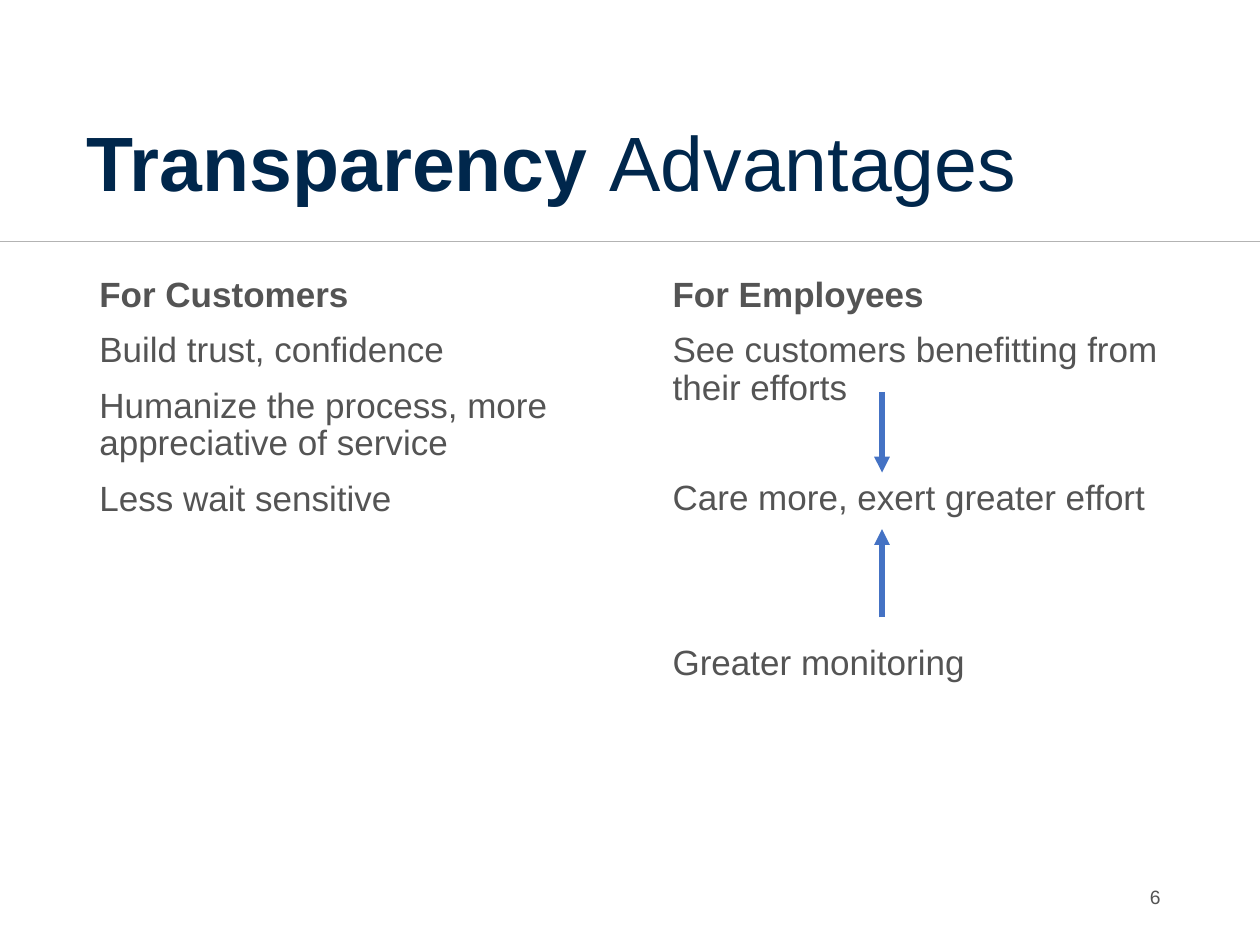
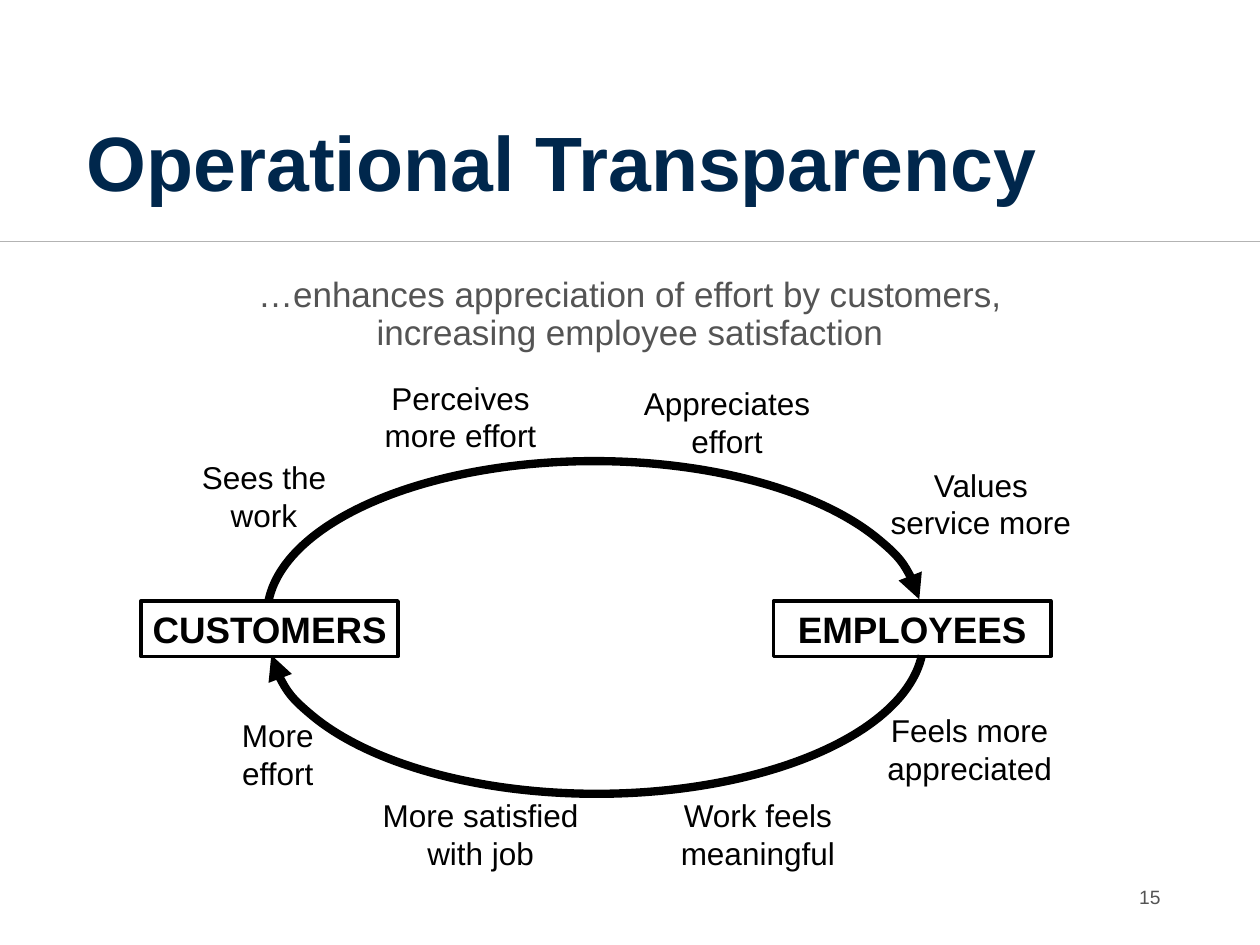
"""Build two slides on operational transparency: its advantages and its cycle."""
from lxml import etree
from pptx import Presentation
from pptx.dml.color import RGBColor
from pptx.enum import shapes, text
from pptx.oxml import ns
from pptx.util import Inches, Pt

NAVY = RGBColor(0x00, 0x27, 0x4C)
GRAY = RGBColor(0x54, 0x54, 0x54)
RULE = RGBColor(0xB3, 0xB3, 0xB3)
BLUE = RGBColor(0x44, 0x72, 0xC4)
BLACK = RGBColor(0, 0, 0)
FONT = "Arial"

LEFT, CONTENT_WIDTH, BODY_TOP, BODY_HEIGHT = 0.69, 8.62, 2, 4.76
COLUMN_WIDTH, COLUMN_STEP = 4.16, 4.55
PARAGRAPH_GAP = 10

ADVANTAGES_TITLE = [("Transparency ", True), ("Advantages", False)]
ADVANTAGES = [
    [("For Customers", 0),
     ("Build trust, confidence", PARAGRAPH_GAP),
     ("Humanize the process, more appreciative of service", PARAGRAPH_GAP),
     ("Less wait sensitive", PARAGRAPH_GAP)],
    [("For Employees", 0),
     ("See customers benefitting from their efforts", PARAGRAPH_GAP),
     ("Care more, exert greater effort", 41.4),
     ("Greater monitoring", 72.8)],
]
ARROW_X = 7
ARROW_SPANS = [(3.11, 3.75), (4.9, 4.2)]

CYCLE_TITLE = [("Operational Transparency", True)]
CYCLE_CLAIM = "…enhances appreciation of effort by customers,\nincreasing employee satisfaction"
PARTIES = [("CUSTOMERS", 1.12, 2.04), ("EMPLOYEES", 6.14, 2.2)]
PARTY_TOP, PARTY_HEIGHT = 4.77, 0.44
STEP_HEIGHT = 0.69
STEPS = [
    ("Sees the work", 1.47, 3.59, 1.25),
    ("Perceives more effort", 2.84, 2.96, 1.63),
    ("Appreciates effort", 5.01, 3, 1.52),
    ("Values service more", 6.97, 3.65, 1.63),
    ("Feels more appreciated", 6.94, 5.6, 1.51),
    ("Work feels meaningful", 5.23, 6.27, 1.57),
    ("More satisfied with job", 2.9, 6.27, 1.83),
    ("More effort", 1.66, 5.64, 1.09),
]
ARC_SIZE = (5.19, 2.45)
ARC_ANGLES = (109.65, 214.29)
ARCS = [(2.12, 3.66, False, "tailEnd"), (2.14, 3.85, True, "headEnd")]

TITLE = {"size": Pt(44), "color": NAVY}
BODY = {"size": Pt(20), "color": GRAY}
NUMBER = {"size": Pt(11), "color": GRAY}
PARTY = {"size": Pt(21), "color": BLACK}
STEP = {"size": Pt(18), "color": BLACK}
TIGHT = {"line_spacing": 0.9}
CENTERED = {"alignment": text.PP_ALIGN.CENTER}
BODY_INSETS = (0.1, 0.2, 0.1, 0.05)
SMALL_INSETS = (0.04,) * 4
MIDDLE = text.MSO_ANCHOR.MIDDLE


def apply(target, values):
    for name, value in values.items():
        setattr(target, name, value)


def fill_frame(frame, paragraphs, style, layout, insets=(0.1, 0.05, 0.1, 0.05),
               anchor=text.MSO_ANCHOR.TOP):
    """Write paragraphs given as (runs, space before), runs as (words, bold)."""
    apply(frame, {"word_wrap": True, "vertical_anchor": anchor})
    for side, inset in zip(("left", "top", "right", "bottom"), insets):
        setattr(frame, f"margin_{side}", Inches(inset))
    for index, (runs, gap) in enumerate(paragraphs):
        para = frame.add_paragraph() if index else frame.paragraphs[0]
        apply(para, {"space_before": Pt(gap), **layout})
        for words, bold in runs:
            for row, piece in enumerate(words.split("\n")):
                if row:
                    para.add_line_break()
                span = para.add_run()
                span.text = piece
                apply(span.font, {"name": FONT, "size": style["size"], "bold": bold})
                span.font.color.rgb = style["color"]


def add_text(page, place, paragraphs, style, layout, **options):
    box = page.shapes.add_textbox(*map(Inches, place))
    fill_frame(box.text_frame, paragraphs, style, layout, **options)


def add_arrowhead(shape, end):
    outline = shape.element.spPr.find(ns.qn("a:ln"))
    etree.SubElement(outline, ns.qn(f"a:{end}"), type="triangle")


def style_line(shape, color, width):
    shape.line.color.rgb = color
    shape.line.width = Pt(width)


def add_line(page, start, finish, color, width):
    line = page.shapes.add_connector(shapes.MSO_CONNECTOR.STRAIGHT,
                                     *map(Inches, (*start, *finish)))
    style_line(line, color, width)
    etree.SubElement(line.element.spPr, ns.qn("a:effectLst"))
    return line


def add_outline(page, kind, place, width):
    shape = page.shapes.add_shape(kind, *map(Inches, place))
    shape.shadow.inherit = False
    shape.fill.background()
    style_line(shape, BLACK, width)
    return shape


def add_page(deck, title, number):
    page = deck.slides.add_slide(deck.slide_layouts[6])
    add_line(page, (0, 1.92), (10, 1.92), RULE, 0.5)
    add_text(page, (LEFT, 0.4, CONTENT_WIDTH, 1.45), [(title, 0)], TITLE, TIGHT,
             insets=(0, 0.05, 0.1, 0.2), anchor=text.MSO_ANCHOR.BOTTOM)
    add_text(page, (8.47, 6.92, 0.84, 0.4), [([(number, False)], 0)], NUMBER,
             {"alignment": text.PP_ALIGN.RIGHT}, anchor=MIDDLE)
    return page


def build_advantages(deck):
    page = add_page(deck, ADVANTAGES_TITLE, "6")
    for column, entries in enumerate(ADVANTAGES):
        paragraphs = [([(words, row == 0)], gap)
                      for row, (words, gap) in enumerate(entries)]
        place = (LEFT + column * COLUMN_STEP, BODY_TOP, COLUMN_WIDTH, BODY_HEIGHT)
        add_text(page, place, paragraphs, BODY, TIGHT, insets=BODY_INSETS)
    for start, finish in ARROW_SPANS:
        arrow = add_line(page, (ARROW_X, start), (ARROW_X, finish), BLUE, 3)
        add_arrowhead(arrow, "tailEnd")


def build_cycle(deck):
    page = add_page(deck, CYCLE_TITLE, "15")
    add_text(page, (LEFT, BODY_TOP, CONTENT_WIDTH, BODY_HEIGHT),
             [([(CYCLE_CLAIM, False)], 0)], BODY, {**TIGHT, **CENTERED},
             insets=BODY_INSETS)
    for name, left, width in PARTIES:
        party = add_outline(page, shapes.MSO_SHAPE.RECTANGLE,
                            (left, PARTY_TOP, width, PARTY_HEIGHT), 2)
        fill_frame(party.text_frame, [([(name, True)], 0)], PARTY, CENTERED,
                   insets=SMALL_INSETS, anchor=MIDDLE)
    for words, left, top, width in STEPS:
        add_text(page, (left, top, width, STEP_HEIGHT), [([(words, False)], 0)],
                 STEP, CENTERED, insets=SMALL_INSETS, anchor=MIDDLE)
    for left, top, flipped, end in ARCS:
        arc = add_outline(page, shapes.MSO_SHAPE.ARC, (left, top, *ARC_SIZE), 4.75)
        for index, angle in enumerate(ARC_ANGLES):
            arc.adjustments[index] = angle
        if flipped:
            arc.element.spPr.find(ns.qn("a:xfrm")).set("flipV", "1")
        add_arrowhead(arc, end)


def main():
    deck = Presentation()
    deck.slide_width, deck.slide_height = Inches(10), Inches(7.5)
    build_advantages(deck)
    build_cycle(deck)
    deck.save("out.pptx")


if __name__ == "__main__":
    main()
